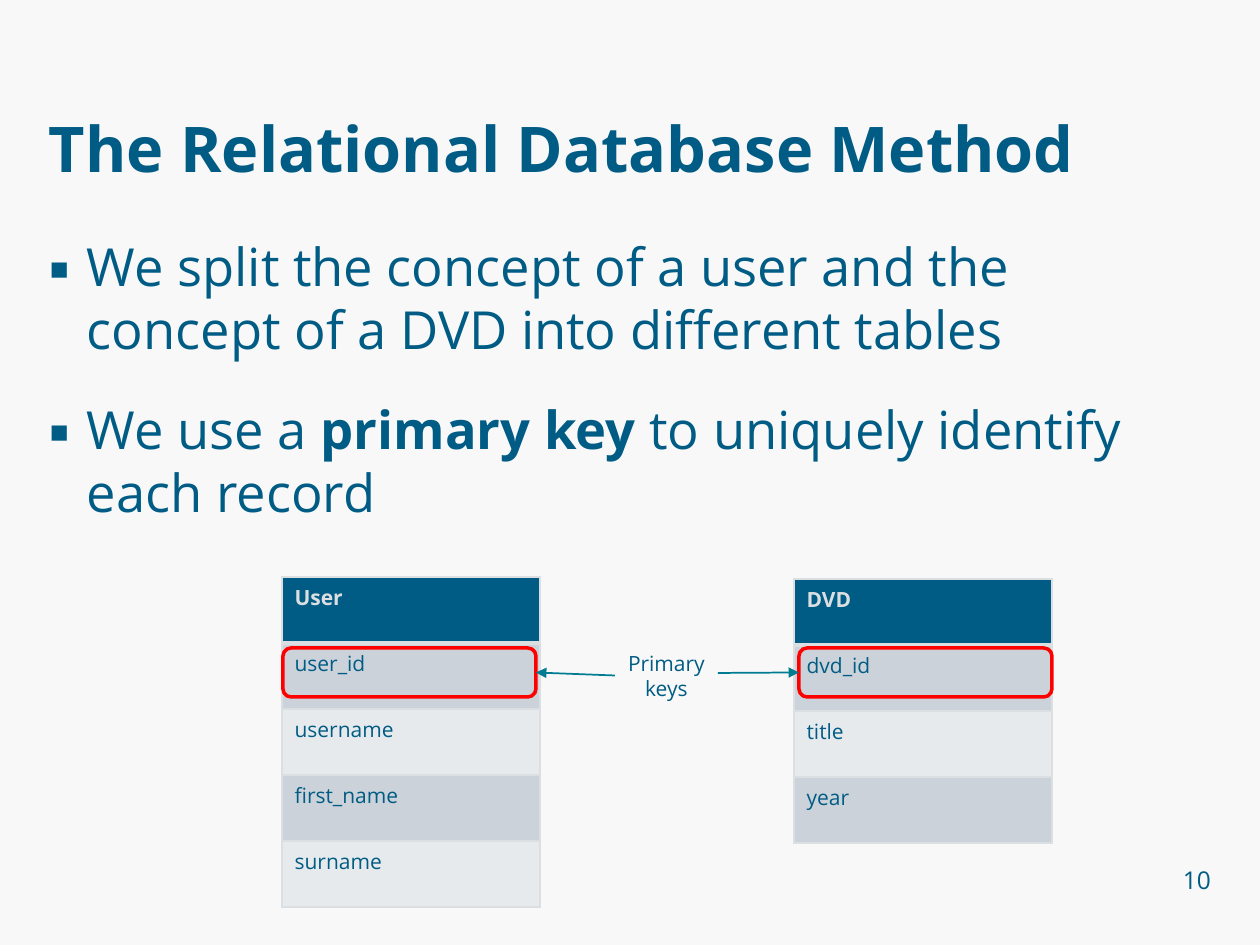
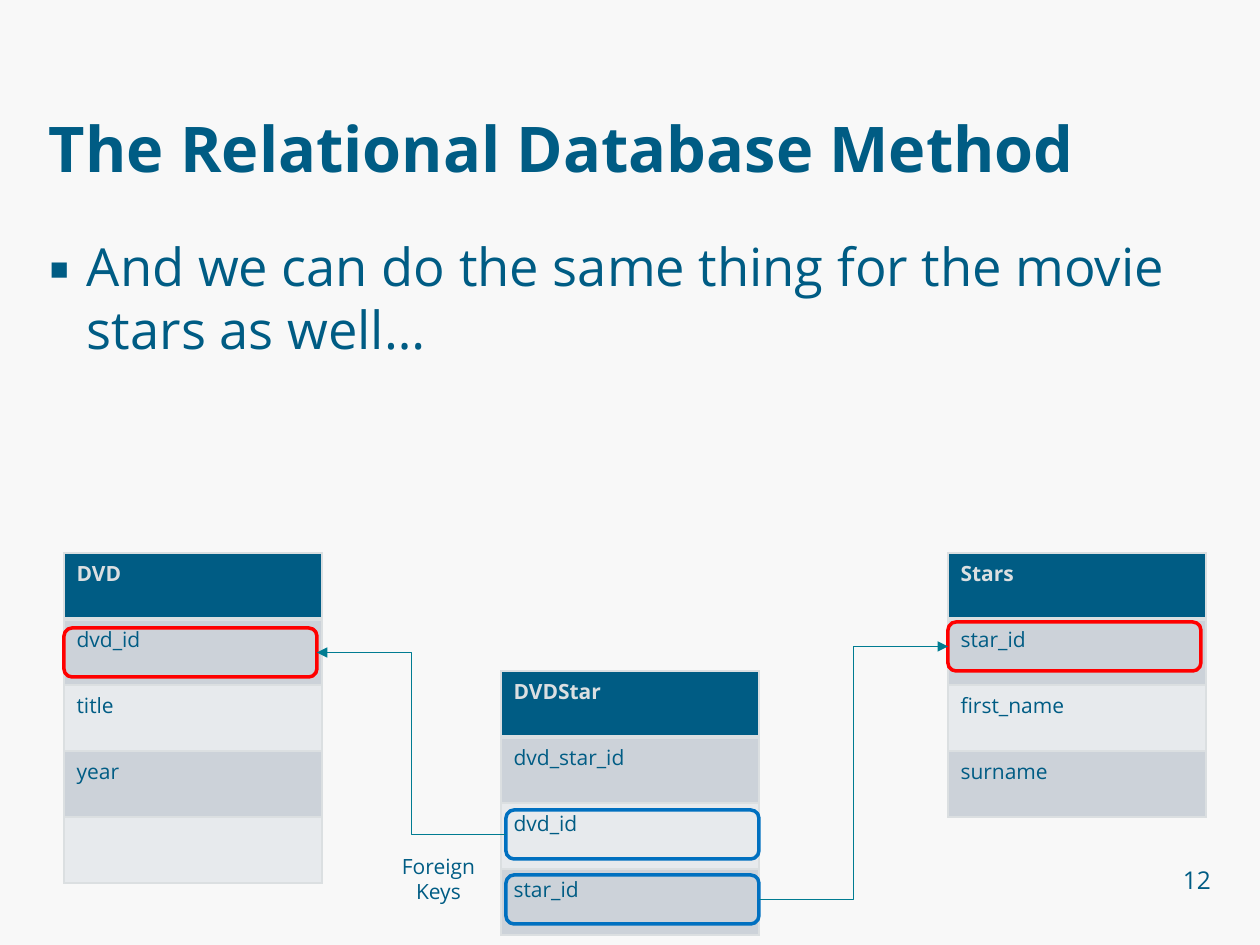
from lxml.etree import SubElement
from pptx import Presentation
from pptx.dml.color import RGBColor
from pptx.enum.shapes import MSO_CONNECTOR as LINK, MSO_SHAPE as SHAPE
from pptx.enum.text import MSO_ANCHOR as ANCHOR, PP_ALIGN as ALIGN
from pptx.oxml import parse_xml
from pptx.oxml.ns import nsdecls, qn
from pptx.util import Pt

COLORS = {
    "paper": "F8F8F8", "navy": "005C84", "teal": "007C92", "rule": "DBDFE1",
    "odd": "CCD2D9", "even": "E7EAED", "primary": "FF0000", "foreign": "0070C0",
}
FONT = "Open Sans"
MARGIN, CONTENT_W = 49, 1162
TABLE_W, ROW_H = 258, 66
KEY_W, KEY_H = 253, 49
BULLET_INDENT = 38


def px(*lengths):
    """Turn lengths at 126 px to the inch into EMU."""
    return [round(length * 914400 / 126) for length in lengths]


def write(frame, text, size=12, color="navy", bold=False, align=ALIGN.LEFT,
          anchor=ANCHOR.TOP, inset=True, bullet=False, wrap=True):
    """Fill a frame, one paragraph per line; words between asterisks are bold."""
    frame.word_wrap = wrap
    frame.vertical_anchor = anchor
    if not inset:
        frame.margin_left = frame.margin_top = frame.margin_right = frame.margin_bottom = 0
    for i, line in enumerate(text.split("\n")):
        paragraph = frame.add_paragraph() if i else frame.paragraphs[0]
        paragraph.alignment = align
        if bullet:
            if i:
                paragraph.space_before = Pt(0.7 * size)
            props = paragraph._p.get_or_add_pPr()
            indent = px(BULLET_INDENT)[0]
            props.set("marL", str(indent))
            props.set("indent", str(-indent))
            SubElement(props, qn("a:buFont"), typeface=FONT)
            SubElement(props, qn("a:buChar"), char="▪")
        for j, part in enumerate(line.split("*")):
            run = paragraph.add_run()
            run.text = part
            run.font.name, run.font.size = FONT, Pt(size)
            run.font.bold = bold or j % 2 == 1
            run.font.color.rgb = RGBColor.from_string(COLORS[color])


# Tables: left, top, rows. Keys: left, top, colour.
# Links: kind, begin, end; an end is (joint, side), joint -1 being the label,
# and a begin may also be a free point (x, y).
SLIDES = [
    {
        "number": "10",
        "points": "We split the concept of a user and the concept of a DVD into different tables\n"
                  "We use a *primary key *to uniquely identify each record",
        "tables": [
            (282, 577, ["User", "user_id", "username", "first_name", "surname"]),
            (794, 579, ["DVD", "dvd_id", "title", "year"]),
        ],
        "keys": [(283, 648, "primary"), (799, 648, "primary")],
        "label": ("Primary\nkeys", 615, 644, 103, 63),
        "links": [
            (LINK.STRAIGHT, (-1, 1), (0, 3)),
            (LINK.STRAIGHT, (718, 673), (1, 1)),
        ],
    },
    {
        "number": "12",
        "points": "And we can do the same thing for the movie stars as well…",
        "tables": [
            (64, 553, ["DVD", "dvd_id", "title", "year", ""]),
            (948, 553, ["Stars", "star_id", "first_name", "surname"]),
            (501, 671, ["DVDStar", "dvd_star_id", "dvd_id", "star_id"]),
        ],
        "keys": [(64, 628, "primary"), (948, 622, "primary"),
                 (506, 810, "foreign"), (506, 875, "foreign")],
        "label": ("Foreign\nKeys", 377, 847, 123, 63),
        "links": [
            (LINK.ELBOW, (2, 1), (0, 3)),
            (LINK.ELBOW, (3, 3), (1, 1)),
        ],
    },
]

prs = Presentation()
prs.slide_width, prs.slide_height = px(1260, 945)

for content in SLIDES:
    slide = prs.slides.add_slide(prs.slide_layouts[6])
    shapes = slide.shapes
    slide.background.fill.solid()
    slide.background.fill.fore_color.rgb = RGBColor.from_string(COLORS["paper"])

    title = shapes.add_textbox(*px(MARGIN, 0, CONTENT_W, 185))
    write(title.text_frame, "The Relational Database Method", size=36, bold=True,
          anchor=ANCHOR.BOTTOM, inset=False)
    points = shapes.add_textbox(*px(MARGIN, 234, CONTENT_W, 620))
    write(points.text_frame, content["points"], size=30, inset=False, bullet=True)
    number = shapes.add_textbox(*px(948, 869, 263, 25))
    write(number.text_frame, content["number"], size=14, align=ALIGN.RIGHT,
          anchor=ANCHOR.BOTTOM, inset=False)

    for left, top, fields in content["tables"]:
        table = shapes.add_table(len(fields), 1,
                                 *px(left, top, TABLE_W, ROW_H * len(fields))).table
        for row, field in enumerate(fields):
            cell = table.cell(row, 0)
            fill = "navy" if row == 0 else "odd" if row % 2 else "even"
            cell.fill.solid()
            cell.fill.fore_color.rgb = RGBColor.from_string(COLORS[fill])
            if field:
                write(cell.text_frame, field, bold=row == 0,
                      color="navy" if row else "rule")
            widths = {"L": 1, "R": 1, "T": 3 if row == 1 else 1, "B": 1 if row else 3}
            for place, (side, width) in enumerate(widths.items()):
                cell._tc.get_or_add_tcPr().insert(place, parse_xml(
                    f'<a:ln{side} {nsdecls("a")} w="{Pt(width)}"><a:solidFill>'
                    f'<a:srgbClr val="{COLORS["rule"]}"/></a:solidFill></a:ln{side}>'))

    joints = []
    for left, top, color in content["keys"]:
        key = shapes.add_shape(SHAPE.ROUNDED_RECTANGLE, *px(left, top, KEY_W, KEY_H))
        key.shadow.inherit = False
        key.fill.background()
        key.line.color.rgb = RGBColor.from_string(COLORS[color])
        key.line.width = Pt(2)
        joints.append(key)

    text, *place = content["label"]
    label = shapes.add_textbox(*px(*place))
    write(label.text_frame, text, align=ALIGN.CENTER, wrap=False)
    joints.append(label)

    for kind, begin, end in content["links"]:
        link = shapes.add_connector(kind, *px(*begin, 0, 0))
        if begin[0] < len(joints):
            link.begin_connect(joints[begin[0]], begin[1])
        link.end_connect(joints[end[0]], end[1])
        link.line.color.rgb = RGBColor.from_string(COLORS["teal"])
        link.line.width = Pt(1)
        SubElement(link.line._get_or_add_ln(), qn("a:tailEnd"), type="triangle")
        SubElement(link._element.spPr, qn("a:effectLst"))

prs.save("out.pptx")
